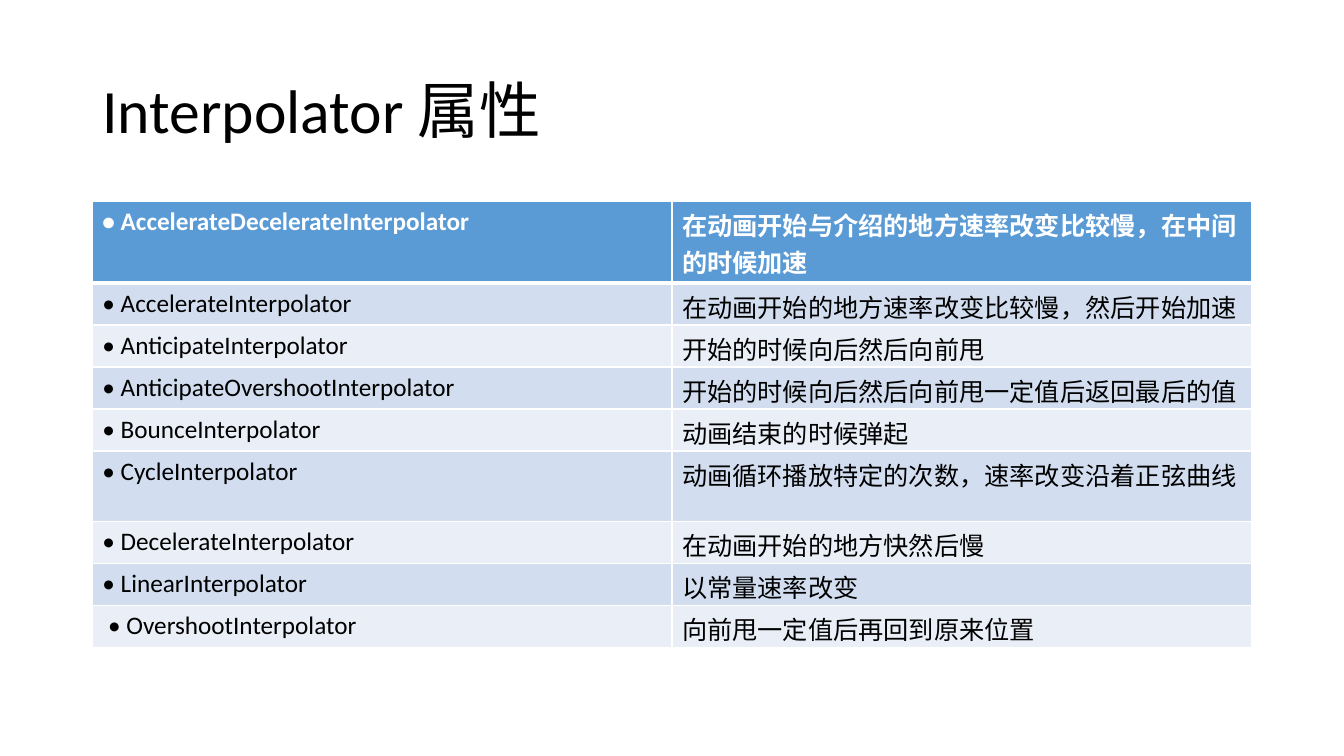
from lxml.etree import SubElement as Sub
from pptx import Presentation
from pptx.dml.color import RGBColor as Rgb
from pptx.enum.text import MSO_ANCHOR as Anchor
from pptx.oxml.ns import qn
from pptx.util import Inches, Pt

HUES = {"ink": "000000", "white": "FFFFFF", "head": "5B9BD5",
        "odd": "D2DEEF", "even": "EAEFF7"}
COLS, ROWS = 160, 90
ITEMS = [
    ("• AccelerateDecelerateInterpolator",
     "在动画开始与介绍的地方速率改变比较慢，在中间的时候加速", 9.7),
    ("• AccelerateInterpolator", "在动画开始的地方速率改变比较慢，然后开始加速", 5),
    ("• AnticipateInterpolator", "开始的时候向后然后向前甩", 5),
    ("• AnticipateOvershootInterpolator", "开始的时候向后然后向前甩一定值后返回最后的值", 5),
    ("• BounceInterpolator", "动画结束的时候弹起", 5),
    ("• CycleInterpolator", "动画循环播放特定的次数，速率改变沿着正弦曲线", 8.4),
    ("• DecelerateInterpolator", "在动画开始的地方快然后慢", 5),
    ("• LinearInterpolator", "以常量速率改变", 5),
    (" • OvershootInterpolator", "向前甩一定值后再回到原来位置", 5),
]


class Deck:
    """Holds the style and the current slide, measured in grid columns and rows."""

    def __init__(self):
        self.prs = Presentation()
        self.prs.slide_width, self.prs.slide_height = Inches(13.33), Inches(7.5)
        self.slide = self.prs.slides.add_slide(self.prs.slide_layouts[6])

    def wide(self, cols):
        return round(self.prs.slide_width * cols / COLS)

    def high(self, rows):
        return round(self.prs.slide_height * rows / ROWS)

    def box(self, x, y, w, h):
        return self.wide(x), self.high(y), self.wide(w), self.high(h)

    def label(self, frame, text, size, hue, bold=False):
        para = frame.paragraphs[0]
        para.text = text
        font = para.font
        font.name, font.size, font.bold = "Calibri", Pt(size), bold
        font.color.rgb = Rgb.from_string(HUES[hue])
        return para

    def title(self, text, *area):
        frame = self.slide.shapes.add_textbox(*self.box(*area)).text_frame
        frame.word_wrap = True
        frame.vertical_anchor = Anchor.MIDDLE
        self.label(frame, text, 44, "ink").line_spacing = 0.9

    def edge(self, cell, base):
        props = cell._tc.get_or_add_tcPr()
        sides = (("lnL", 1), ("lnR", 1), ("lnT", 1), ("lnB", base))
        for spot, (side, width) in enumerate(sides):
            line = Sub(props, qn(f"a:{side}"), w=str(Pt(width)))
            fill = Sub(line, qn("a:solidFill"))
            Sub(fill, qn("a:srgbClr"), val=HUES["white"])
            props.insert(spot, line)

    def table(self, items, x, y, w):
        tall = sum(item[-1] for item in items)
        grid = self.slide.shapes.add_table(len(items), 2, *self.box(x, y, w, tall)).table
        for col in grid.columns:
            col.width = self.wide(w / 2)
        for row, (*texts, rise) in enumerate(items):
            grid.rows[row].height = self.high(rise)
            head = row == 0
            hue = "head" if head else "odd" if row % 2 else "even"
            for cell, text in zip(grid.rows[row].cells, texts):
                cell.fill.solid()
                cell.fill.fore_color.rgb = Rgb.from_string(HUES[hue])
                self.label(cell.text_frame, text, 18, "white" if head else "ink", head)
                self.edge(cell, 3 if head else 1)


def main():
    deck = Deck()
    deck.title("Interpolator 属性", 11, 4.8, 138, 17.4)
    deck.table(ITEMS, 11, 24, 138)
    deck.prs.save("out.pptx")


if __name__ == "__main__":
    main()
